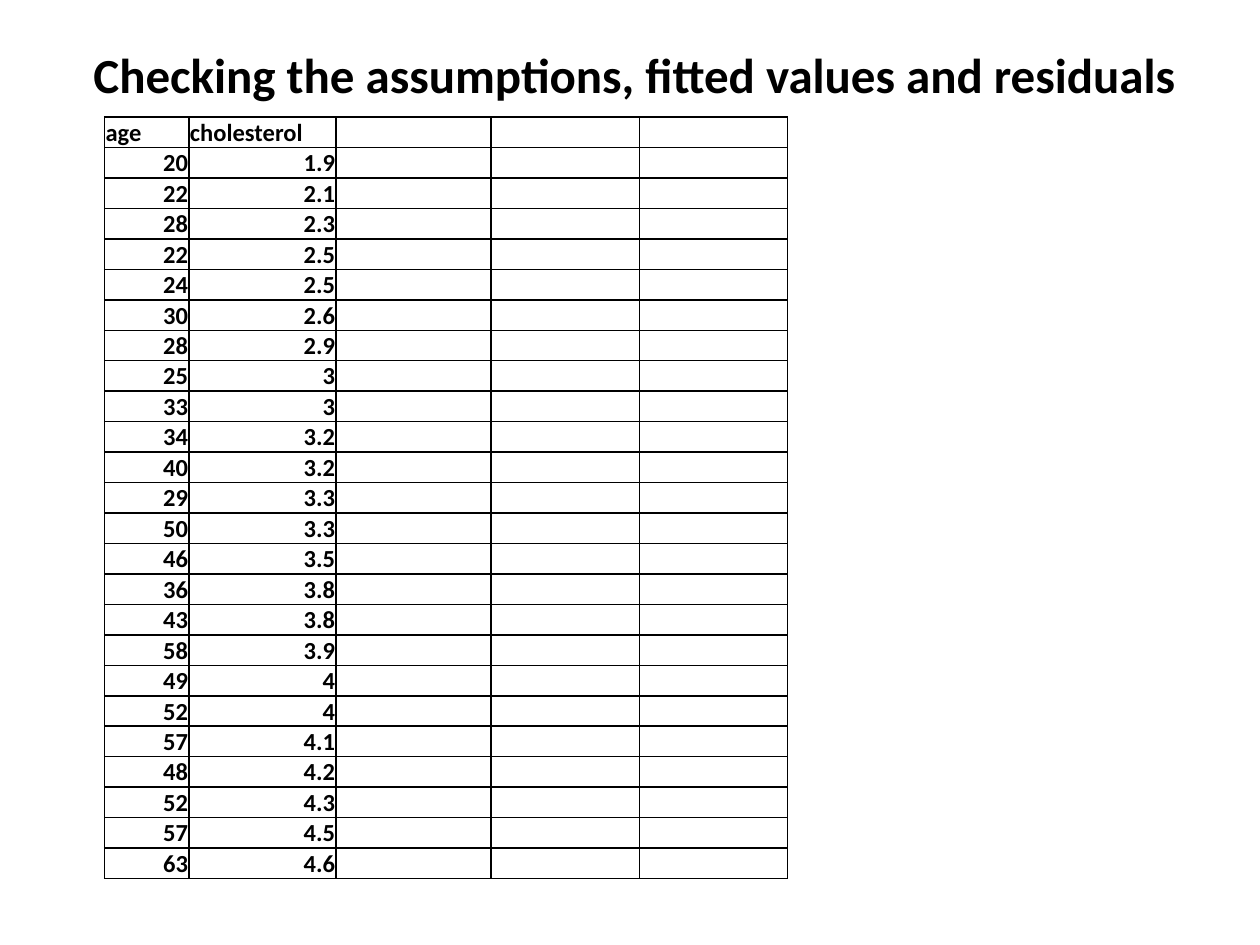
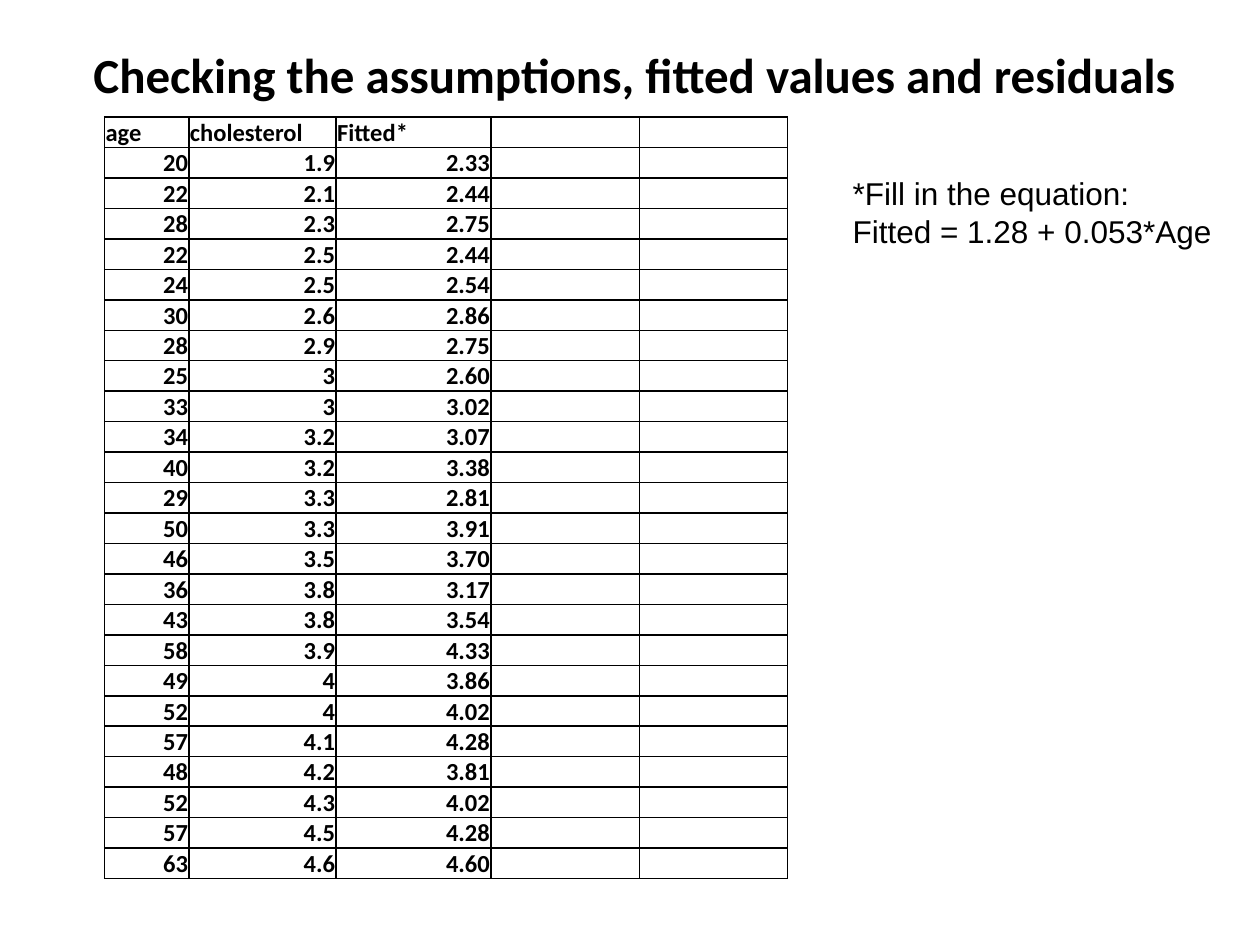
from collections import namedtuple

from lxml.etree import SubElement
from pptx import Presentation
from pptx.dml.color import RGBColor
from pptx.enum.text import MSO_ANCHOR, MSO_AUTO_SIZE, PP_ALIGN
from pptx.oxml.ns import qn
from pptx.util import Cm, Pt

Box = namedtuple("Box", "left top width height")

COLOURS = {"background": "FFFFFF", "text": "000000", "border": "000000"}
TITLE = "Checking the assumptions, fitted values and residuals"
TITLE_BOX = Box(Cm(1.24), Cm(0.64), Cm(23.09), Cm(1.7))
TABLE_BOX = Box(Cm(2.11), Cm(2.36), Cm(13.77), Cm(15.34))
NOTE_BOX = Box(Cm(16.94), Cm(3.38), Cm(8.05), Cm(1.8))
COLUMN_SHARES = [0.67, 1.17, 1.23, 1.18, 1.18]
CELL_SIZE = 14

AGE = ["age", "20", "22", "28", "22", "24", "30", "28", "25", "33", "34", "40", "29",
       "50", "46", "36", "43", "58", "49", "52", "57", "48", "52", "57", "63"]
CHOLESTEROL = ["cholesterol", "1.9", "2.1", "2.3", "2.5", "2.5", "2.6", "2.9", "3", "3",
               "3.2", "3.2", "3.3", "3.3", "3.5", "3.8", "3.8", "3.9", "4", "4", "4.1",
               "4.2", "4.3", "4.5", "4.6"]
FITTED = ["Fitted*", "2.33", "2.44", "2.75", "2.44", "2.54", "2.86", "2.75", "2.60",
          "3.02", "3.07", "3.38", "2.81", "3.91", "3.70", "3.17", "3.54", "4.33", "3.86",
          "4.02", "4.28", "3.81", "4.02", "4.28", "4.60"]


def add_span(para, text, font, size, bold=False):
    span = para.add_run()
    span.text = text
    span.font.name = font
    span.font.size = Pt(size)
    span.font.bold = bold
    span.font.color.rgb = RGBColor.from_string(COLOURS["text"])


def add_page(deck):
    page = deck.slides.add_slide(deck.slide_layouts[6])
    page.background.fill.solid()
    page.background.fill.fore_color.rgb = RGBColor.from_string(COLOURS["background"])
    return page


def add_title(page, box):
    frame = page.shapes.add_textbox(*box).text_frame
    frame.word_wrap = True
    frame.vertical_anchor = MSO_ANCHOR.MIDDLE
    para = frame.paragraphs[0]
    para.alignment = PP_ALIGN.CENTER
    add_span(para, TITLE, "Calibri", 28, bold=True)


def add_note(page, box, lines):
    frame = page.shapes.add_textbox(*box).text_frame
    frame.word_wrap = True
    frame.auto_size = MSO_AUTO_SIZE.SHAPE_TO_FIT_TEXT
    for index, line in enumerate(lines):
        para = frame.add_paragraph() if index else frame.paragraphs[0]
        add_span(para, line, "Arial", 18)


def style_cell(cell):
    properties = cell._tc.get_or_add_tcPr()
    for side in ("lnL", "lnR", "lnT", "lnB"):
        line = SubElement(properties, qn(f"a:{side}"), w=str(Pt(1)))
        fill = SubElement(line, qn("a:solidFill"))
        SubElement(fill, qn("a:srgbClr"), val=COLOURS["border"])
    cell.fill.background()
    cell.margin_left = cell.margin_right = cell.margin_top = Cm(0.02)
    cell.margin_bottom = 0
    cell.vertical_anchor = MSO_ANCHOR.BOTTOM


def add_data_table(page, box, columns):
    table = page.shapes.add_table(len(AGE), len(COLUMN_SHARES), *box).table
    table.first_row = False
    table.horz_banding = False
    for column, share in zip(table.columns, COLUMN_SHARES):
        column.width = int(box.width * share / sum(COLUMN_SHARES))
    for row_index, row in enumerate(table.rows):
        for column_index, cell in enumerate(row.cells):
            style_cell(cell)
            para = cell.text_frame.paragraphs[0]
            if column_index < len(columns):
                para.alignment = PP_ALIGN.RIGHT if row_index else PP_ALIGN.LEFT
                add_span(para, columns[column_index][row_index], "Calibri", CELL_SIZE, bold=True)
            else:
                SubElement(para._p, qn("a:endParaRPr"), sz=str(CELL_SIZE * 100))


def add_observed_page(deck):
    page = add_page(deck)
    add_title(page, TITLE_BOX)
    add_data_table(page, TABLE_BOX, [AGE, CHOLESTEROL])


def add_fitted_page(deck):
    page = add_page(deck)
    add_data_table(page, TABLE_BOX, [AGE, CHOLESTEROL, FITTED])
    add_title(page, TITLE_BOX)
    add_note(page, NOTE_BOX, ["*Fill in the equation:", "Fitted = 1.28 + 0.053*Age"])


deck = Presentation()
deck.slide_width = Cm(25.4)
deck.slide_height = Cm(19.05)
add_observed_page(deck)
add_fitted_page(deck)
deck.save("out.pptx")
